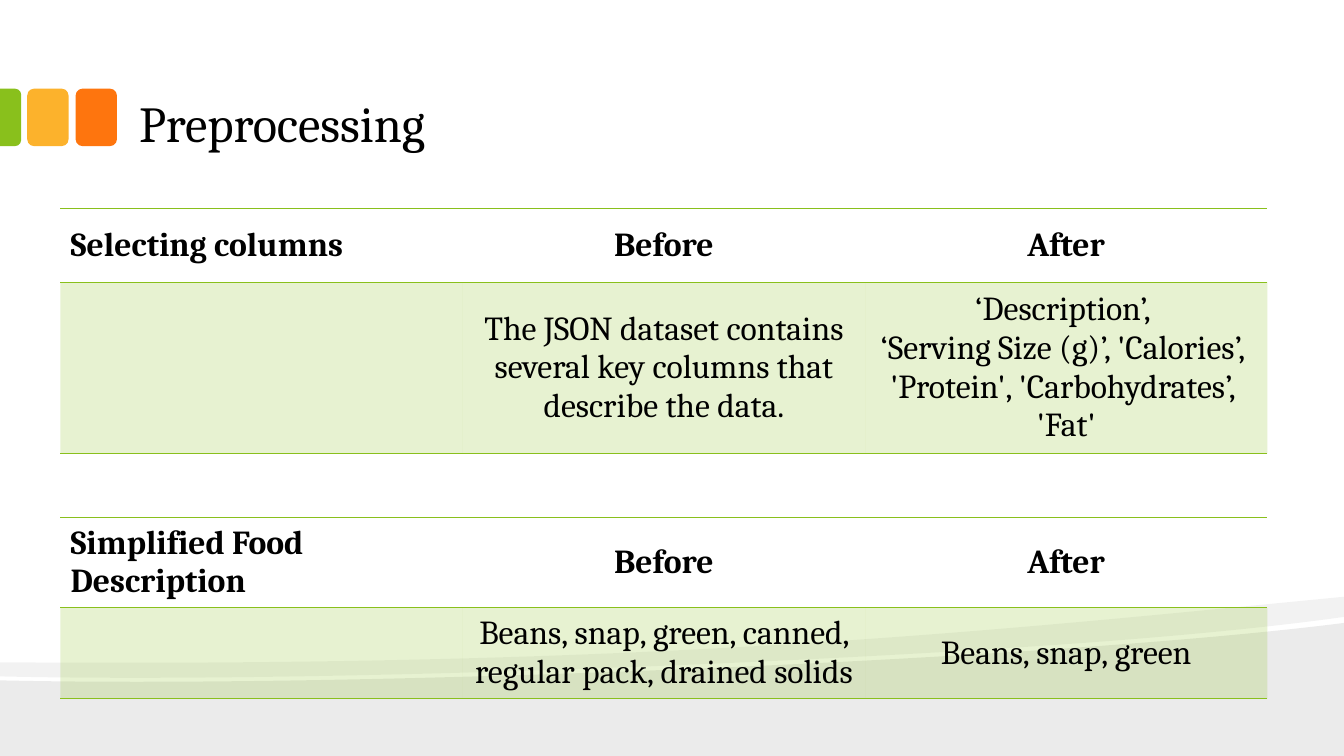
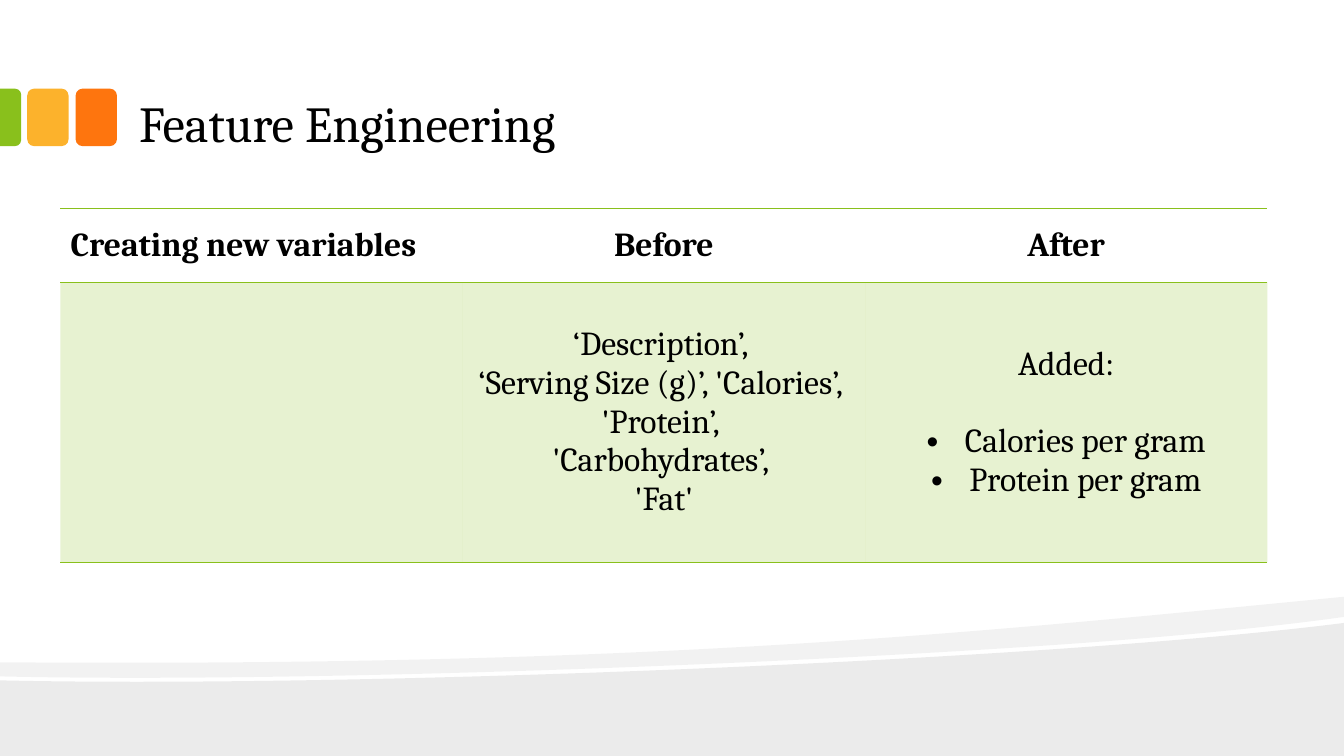
from lxml import etree
from pptx import Presentation
from pptx.dml.color import RGBColor
from pptx.enum.shapes import MSO_SHAPE
from pptx.enum.text import MSO_ANCHOR, PP_ALIGN
from pptx.oxml.ns import qn
from pptx.util import Inches, Pt

ROUNDED = MSO_SHAPE.ROUNDED_RECTANGLE
ROUNDED_TOP = MSO_SHAPE.ROUND_2_SAME_RECTANGLE
MIDDLE, BOTTOM = MSO_ANCHOR.MIDDLE, MSO_ANCHOR.BOTTOM
LEFT, CENTER = PP_ALIGN.LEFT, PP_ALIGN.CENTER

COLORS = {"text": "000000", "green": "89C01C", "amber": "FCB22C", "orange": "FE750E"}
FONT = "Cambria"
BULLET_FONT = "Arial"
NO_STYLE = "{2D5ABB26-0587-4C30-8999-92F81FD0307C}"
SLIDE_W, SLIDE_H = 13.33, 7.5
TABLE_LEFT, TABLE_W = 0.6, 11.97
ROW_H = 0.73
BULLET_INDENT = 0.38
BLANK_LINE = 28


def paint(fill, color, opacity=100):
    fill.solid()
    fill.fore_color.rgb = RGBColor.from_string(COLORS[color])
    if opacity < 100:
        srgb = fill._xPr.find(qn("a:solidFill")).find(qn("a:srgbClr"))
        etree.SubElement(srgb, qn("a:alpha")).set("val", str(opacity * 1000))


def finish(shape, color, opacity=100):
    shape.shadow.inherit = False
    shape.line.fill.background()
    paint(shape.fill, color, opacity)


def write(paragraph, text, size, bold=False, align=LEFT):
    paragraph.alignment = align
    run = paragraph.add_run()
    run.text = text
    run.font.name, run.font.size, run.font.bold = FONT, Pt(size), bold
    run.font.color.rgb = RGBColor.from_string(COLORS["text"])


def add_wave(slide, start, segments, opacity):
    anchors = [start] + [segment[-1] for segment in segments]
    corners = [(Inches(x), Inches(y)) for x, y in anchors]
    builder = slide.shapes.build_freeform(*corners[0], scale=1.0)
    builder.add_line_segments(corners[1:], close=True)
    wave = builder.convert_to_shape()
    left, top = (min(values) for values in zip(*corners))
    lines = list(wave._element.iter(qn("a:lnTo")))
    for line, segment in zip(lines, segments):
        if len(segment) == 3:
            line.tag = qn("a:cubicBezTo")
            for point in list(line):
                line.remove(point)
            for x, y in segment:
                etree.SubElement(line, qn("a:pt"),
                                 x=str(Inches(x) - left), y=str(Inches(y) - top))
    finish(wave, "text", opacity)


def add_waves(slide):
    add_wave(slide, (SLIDE_W, 6.18), [
        [(SLIDE_W, SLIDE_H)], [(0, SLIDE_H)], [(0, 6.75)],
        [(3.52, 6.83), (10.42, 6.55), (SLIDE_W, 6.18)]], 8)
    add_wave(slide, (SLIDE_W, 5.92), [
        [(SLIDE_W, 6.12)],
        [(12.55, 6.23), (11.49, 6.33), (10.29, 6.41)],
        [(6.98, 6.63), (2.58, 6.77), (0, 6.71)],
        [(0, 6.57)],
        [(6.52, 6.62), (9.71, 6.27), (SLIDE_W, 5.92)]], 5)


def add_tabs(slide, top=0.88, width=0.41, height=0.57):
    for left, color in ((0.75, "orange"), (0.27, "amber")):
        tab = slide.shapes.add_shape(
            ROUNDED, Inches(left), Inches(top), Inches(width), Inches(height))
        finish(tab, color)
    depth = 0.21
    edge_tab = slide.shapes.add_shape(
        ROUNDED_TOP, Inches((depth - height) / 2), Inches(top + (height - depth) / 2),
        Inches(height), Inches(depth))
    edge_tab.rotation = 90
    edge_tab.adjustments[0] = 0.29
    edge_tab.adjustments[1] = 0
    finish(edge_tab, "green")


def add_title(slide, text):
    frame = slide.shapes.add_textbox(
        Inches(1.25), Inches(0.17), Inches(10.66), Inches(1.41)).text_frame
    frame.word_wrap = True
    frame.vertical_anchor = BOTTOM
    frame.margin_left = frame.margin_right = Inches(0.13)
    frame.margin_top = frame.margin_bottom = Inches(0.07)
    write(frame.paragraphs[0], text, 36)


def add_rules(cell):
    properties = cell._tc.get_or_add_tcPr()
    for position, side in enumerate(("a:lnT", "a:lnB")):
        rule = etree.Element(qn(side), w=str(Pt(1)))
        solid = etree.SubElement(rule, qn("a:solidFill"))
        etree.SubElement(solid, qn("a:srgbClr"), val=COLORS["green"])
        properties.insert(position, rule)


def add_bullet(paragraph):
    properties = paragraph._p.get_or_add_pPr()
    properties.set("marL", str(Inches(BULLET_INDENT)))
    properties.set("indent", str(-Inches(BULLET_INDENT)))
    etree.SubElement(properties, qn("a:buFont")).set("typeface", BULLET_FONT)
    etree.SubElement(properties, qn("a:buChar")).set("char", "•")


def fill_cell(cell, lines, bold=False, align=CENTER, bullets=()):
    cell.vertical_anchor = MIDDLE
    frame = cell.text_frame
    for index, line in enumerate((*lines, *bullets)):
        paragraph = frame.add_paragraph() if index else frame.paragraphs[0]
        write(paragraph, line, 24, bold, align)
        if index >= len(lines):
            if index == len(lines):
                paragraph.space_before = Pt(BLANK_LINE)
            add_bullet(paragraph)


def add_comparison(slide, top, height, topic, before, after, added=(), body_h=ROW_H):
    holder = slide.shapes.add_table(
        2, 3, Inches(TABLE_LEFT), Inches(top), Inches(TABLE_W), Inches(height))
    table = holder.table
    table.first_row = table.horz_banding = False
    table._tbl.tblPr.find(qn("a:tableStyleId")).text = NO_STYLE
    for column in table.columns:
        column.width = Inches(TABLE_W / 3)
    for row, row_height in zip(table.rows, (ROW_H, body_h)):
        row.height = Inches(row_height)
    holder.height = Inches(height)
    for index, heading in enumerate((topic, "Before", "After")):
        header, body = table.cell(0, index), table.cell(1, index)
        header.fill.background()
        paint(body.fill, "green", 20)
        add_rules(header)
        add_rules(body)
        fill_cell(header, [heading], bold=True, align=CENTER if index else LEFT)
    fill_cell(table.cell(1, 1), before)
    fill_cell(table.cell(1, 2), after, bullets=added)


def add_page(deck, title):
    slide = deck.slides.add_slide(deck.slide_layouts[6])
    add_waves(slide)
    add_tabs(slide)
    add_title(slide, title)
    return slide


def add_preprocessing(deck):
    slide = add_page(deck, "Preprocessing")
    add_comparison(
        slide, 2.07, 2.83, "Selecting columns",
        ["The JSON dataset contains several key columns that describe the data."],
        ["‘Description’, ", "‘Serving Size (g)’, 'Calories’, ",
         "'Protein', 'Carbohydrates’, ", "'Fat'"])
    add_comparison(
        slide, 5.13, 2.2, "Simplified Food Description",
        ["Beans, snap, green, canned, regular pack, drained solids "],
        ["Beans, snap, green"])


def add_feature_engineering(deck):
    slide = add_page(deck, "Feature Engineering")
    add_comparison(
        slide, 2.07, 4.03, "Creating new variables",
        ["‘Description’, ", "‘Serving Size (g)’, 'Calories’, ", "'Protein’, ",
         "'Carbohydrates’, ", "'Fat'"],
        ["Added:"], ["Calories per gram", "Protein per gram"], body_h=2.78)


def main():
    deck = Presentation()
    deck.slide_width, deck.slide_height = Inches(SLIDE_W), Inches(SLIDE_H)
    add_preprocessing(deck)
    add_feature_engineering(deck)
    deck.save("out.pptx")


if __name__ == "__main__":
    main()
